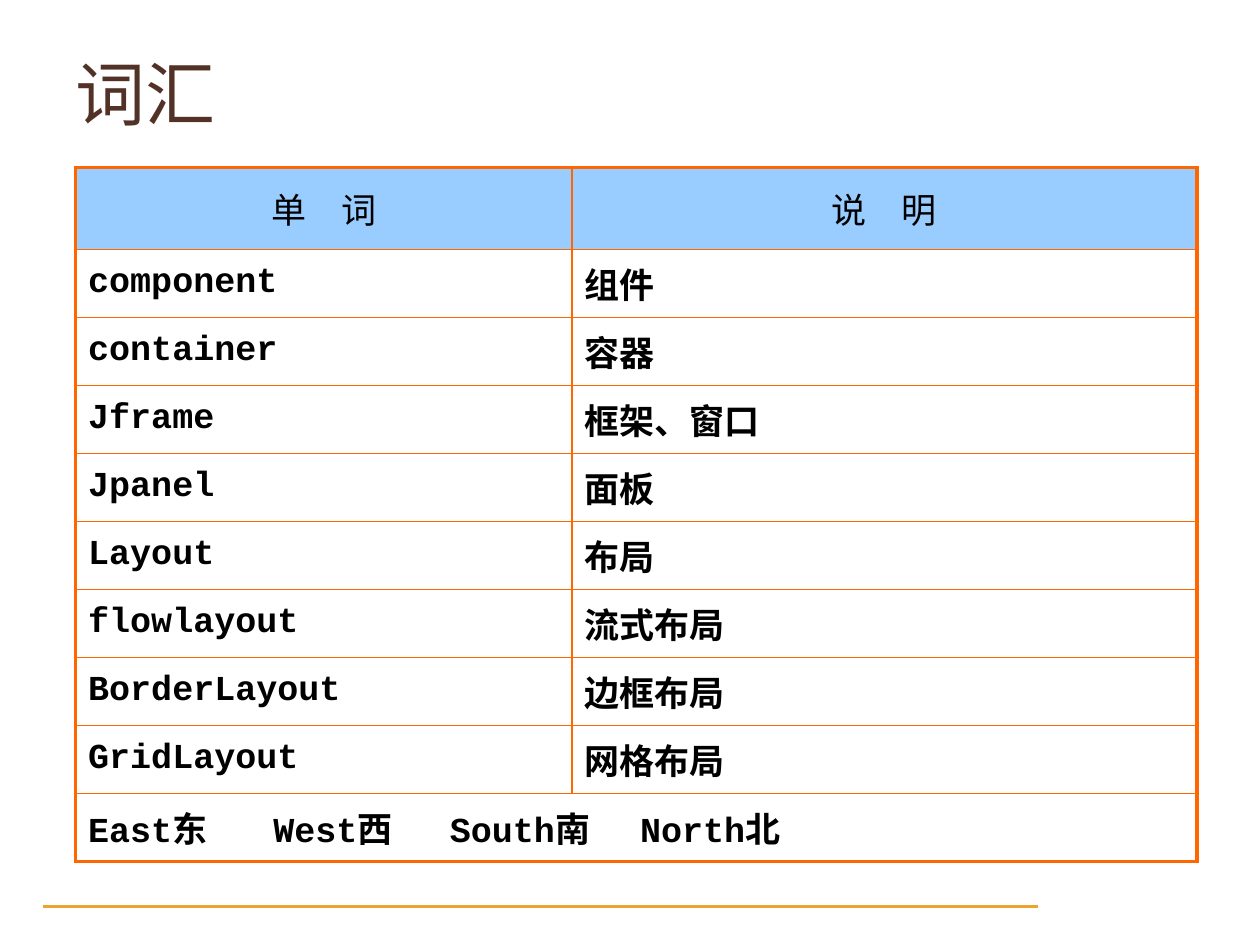
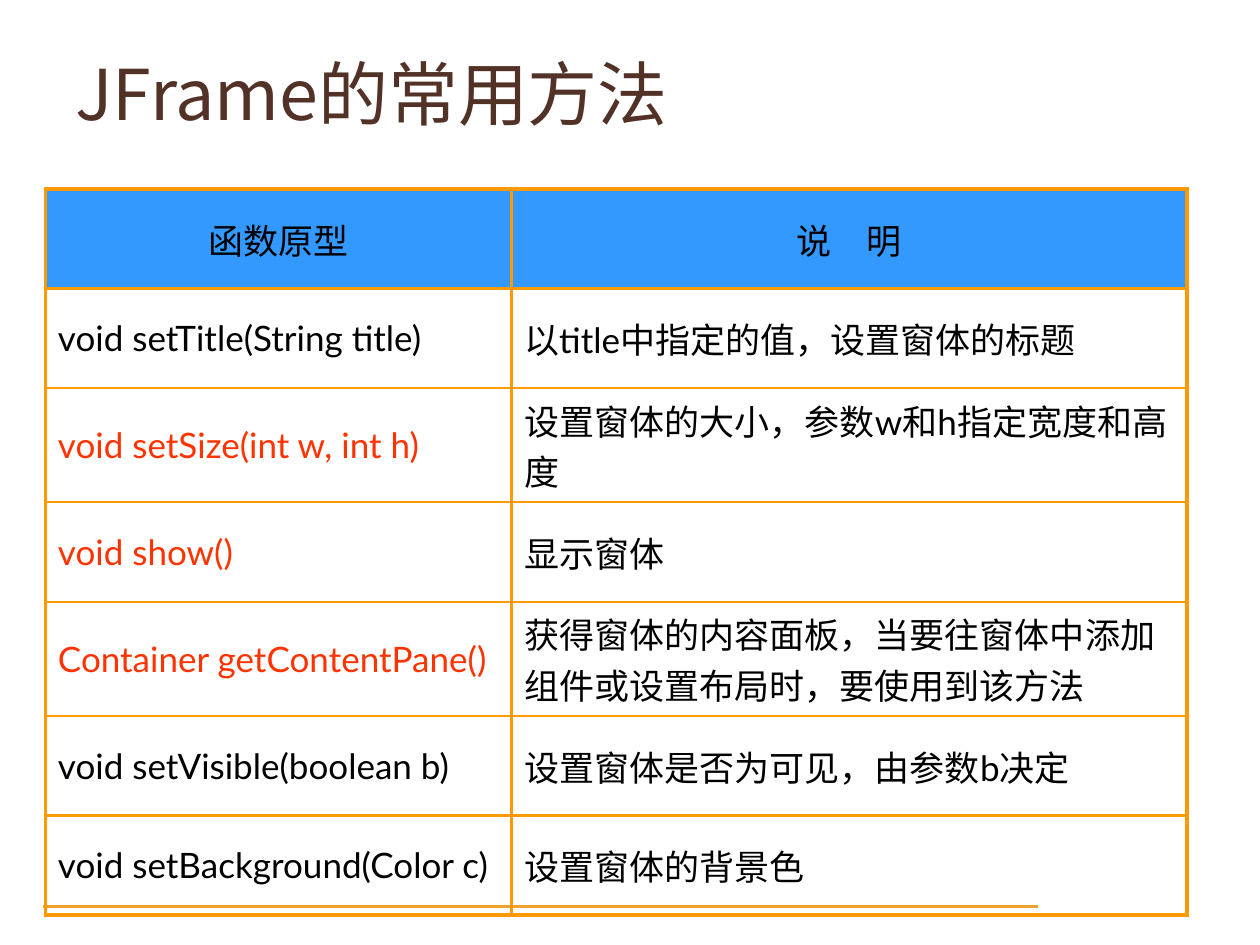
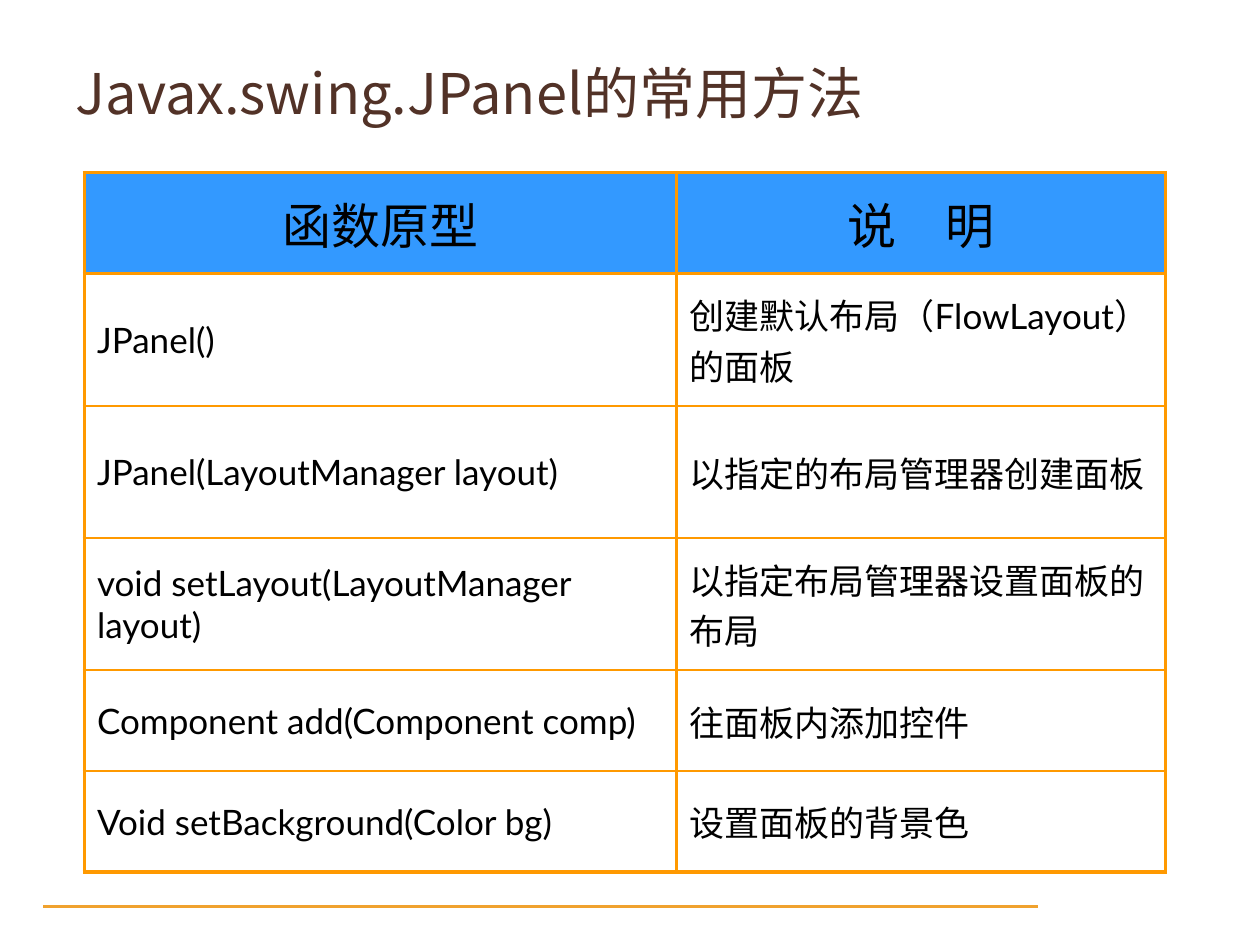
from lxml import etree
from pptx import Presentation
from pptx import util as u
from pptx.dml.color import RGBColor
from pptx.enum import shapes, text
from pptx.oxml.ns import qn

PX = 9144  # EMU per px, 100 px to the inch
OUTER = 2.25
NO_GRID_STYLE = "{2D5ABB26-0587-4C30-8999-92F81FD0307C}"
CJK = "Noto Sans CJK SC"
COLORS = {
    "white": "FFFFFF", "black": "000000", "title": "523227", "rule": "F0A22E",
    "orange": "FF6600", "amber": "FF9900", "sky": "99CCFF", "blue": "3399FF",
    "red": "FF3300",
}

WORDS = [
    ("单　词", "说　明"),
    ("component", "组件"),
    ("container", "容器"),
    ("Jframe", "框架、窗口"),
    ("Jpanel", "面板"),
    ("Layout", "布局"),
    ("flowlayout", "流式布局"),
    ("BorderLayout", "边框布局"),
    ("GridLayout", "网格布局"),
    ("East东\tWest西\tSouth南\tNorth北",),
]
FRAME_METHODS = [
    ("函数原型", "说　明"),
    ("void setTitle(String title)", "以title中指定的值，设置窗体的标题"),
    ("void setSize(int w, int h)", "设置窗体的大小，参数w和h指定宽度和高度"),
    ("void show()", "显示窗体"),
    ("Container getContentPane()",
     "获得窗体的内容面板，当要往窗体中添加组件或设置布局时，要使用到该方法"),
    ("void setVisible(boolean b)", "设置窗体是否为可见，由参数b决定"),
    ("void setBackground(Color c)", "设置窗体的背景色"),
]
PANEL_METHODS = [
    ("函数原型", "说　明"),
    ("JPanel()", "创建默认布局（FlowLayout）的面板"),
    ("JPanel(LayoutManager layout)", "以指定的布局管理器创建面板"),
    ("void setLayout(LayoutManager layout)", "以指定布局管理器设置面板的布局"),
    ("Component add(Component comp)", "往面板内添加控件"),
    ("Void setBackground(Color bg)", "设置面板的背景色"),
]


def rgb(name):
    return RGBColor.from_string(COLORS[name])


def add_child(parent, tag, **attrs):
    return etree.SubElement(parent, qn(tag), attrs)


class Deck:
    def __init__(self):
        self.prs = Presentation()
        self.prs.slide_width, self.prs.slide_height = 1000 * PX, 750 * PX
        self.slide = None

    def add_slide(self, title, size=40):
        self.slide = self.prs.slides.add_slide(self.prs.slide_layouts[5])
        sp = self.slide.shapes.title
        sp.left, sp.top, sp.width, sp.height = (n * PX for n in (50, 30, 683, 87))
        tf = sp.text_frame
        tf.word_wrap = True
        tf.auto_size = text.MSO_AUTO_SIZE.NONE
        tf.vertical_anchor = text.MSO_ANCHOR.MIDDLE
        p = tf.paragraphs[0]
        p.alignment = text.PP_ALIGN.LEFT
        self.add_run(p, title, size, CJK, "title")

    def add_run(self, p, words, size, font, color, bold=False):
        r = p.add_run()
        r.text = words
        r.font.size = u.Pt(size)
        r.font.bold = bold
        r.font.color.rgb = rgb(color)
        r.font.name = font
        add_child(r.font._element, "a:ea", typeface=CJK)

    def add_master_rule(self):
        """Draw the bottom rule and move it to the master, behind all slides."""
        sp = self.slide.shapes.add_shape(
            shapes.MSO_SHAPE.RECTANGLE, 33 * PX, 717 * PX, 792 * PX, 5 * PX)
        sp.shadow.inherit = False
        sp.fill.solid()
        sp.fill.fore_color.rgb = rgb("rule")
        sp.line.color.rgb = rgb("white")
        sp.line.width = u.Pt(2)
        sp.element.xpath("./p:nvSpPr/p:cNvPr")[0].set("id", "20")
        self.prs.slide_master.shapes.element.insert(2, sp.element)

    def border(self, cell, widths, color):
        """Set the left, right, top and bottom line widths, in points."""
        tc_pr = cell._tc.get_or_add_tcPr()
        for side, width in zip("LRTB", widths):
            ln = add_child(tc_pr, f"a:ln{side}", w=str(u.Pt(width)))
            fill = add_child(ln, "a:solidFill")
            add_child(fill, "a:srgbClr", val=COLORS[color])

    def add_table(self, left, top, cols, heights, rows, *, font, line, inner,
                  header_fill, body_fill=None, header_size=20, bold=False,
                  red_rows=(), tabs=()):
        table = self.slide.shapes.add_table(
            len(rows), len(cols), left * PX, top * PX,
            sum(cols) * PX, sum(heights) * PX).table
        table.first_row = table.horz_banding = False
        table._tbl.tblPr.find(qn("a:tableStyleId")).text = NO_GRID_STYLE
        for column, width in zip(table.columns, cols):
            column.width = width * PX
        for row, height in zip(table.rows, heights):
            row.height = height * PX

        last_row, last_col = len(rows) - 1, len(cols) - 1
        for i, row in enumerate(rows):
            if len(row) == 1:
                table.cell(i, 0).merge(table.cell(i, last_col))
            for j, words in enumerate(row):
                cell = table.cell(i, j)
                end = j == len(row) - 1
                edges = (j == 0, end, i == 0, i == last_row)
                self.border(cell, [OUTER if e else inner for e in edges], line)
                fill = body_fill if i else header_fill
                if fill:
                    cell.fill.solid()
                    cell.fill.fore_color.rgb = rgb(fill)
                else:
                    cell.fill.background()
                cell.vertical_anchor = text.MSO_ANCHOR.MIDDLE
                p = cell.text_frame.paragraphs[0]
                p.alignment = text.PP_ALIGN.LEFT if i else text.PP_ALIGN.CENTER
                p_pr = p._p.get_or_add_pPr()
                add_child(add_child(p_pr, "a:spcBef"), "a:spcPct", val="20000")
                if "\t" in words:
                    stops = add_child(p_pr, "a:tabLst")
                    for pos in tabs:
                        add_child(stops, "a:tab", pos=str(pos * PX), algn="l")
                color = "red" if j == 0 and i in red_rows else "black"
                self.add_run(p, words, 20 if i else header_size, font, color,
                             bold and i > 0)


def main():
    deck = Deck()
    methods = dict(font="Lato", line="amber", inner=1.5, header_fill="blue")

    deck.add_slide("词汇")
    deck.add_master_rule()
    deck.add_table(60, 133, (394, 496), [65] + [54] * 9, WORDS,
                   font="Courier New", line="orange", inner=1, bold=True,
                   header_fill="sky", body_fill="white", tabs=(147, 287, 438))

    deck.add_slide("JFrame的常用方法")
    deck.add_table(36, 150, (370, 536), [79] * 7, FRAME_METHODS,
                   red_rows=(2, 3, 4), **methods)

    deck.add_slide("Javax.swing.JPanel的常用方法", 32)
    deck.add_table(67, 137, (470, 388), [80] + [105] * 3 + [80] * 2,
                   PANEL_METHODS, header_size=28, **methods)

    deck.prs.save("out.pptx")


if __name__ == "__main__":
    main()
